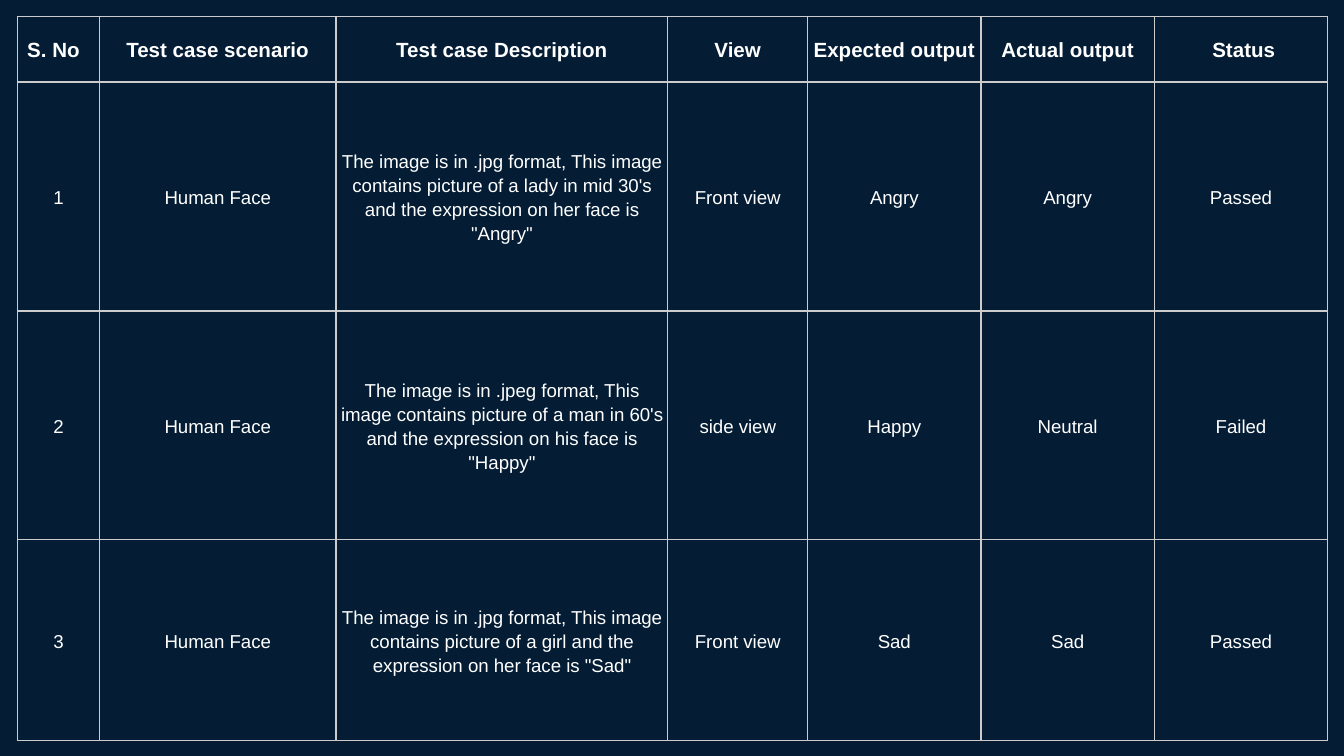
from dataclasses import dataclass

from lxml.etree import SubElement
from pptx import Presentation
from pptx.dml.color import RGBColor
from pptx.enum.text import MSO_ANCHOR as Anchor, PP_ALIGN as Align
from pptx.oxml.ns import qn
from pptx.util import Inches, Pt


@dataclass(frozen=True)
class Theme:
    """Colours, font and sizes of the slide."""
    background: str = "041D34"
    text: str = "FFFFFF"
    border: str = "CCCCCC"
    font: str = "Arial"
    header_size: float = 11
    body_size: float = 10
    border_width: float = 0.75
    line_spacing: float = 1.15
    cell_margin: float = 0.03


THEME = Theme()
COLUMN_WIDTHS = [0.61, 1.76, 2.47, 1.04, 1.29, 1.29, 1.29]
ROW_HEIGHTS = [0.49, 1.7, 1.7, 1.49]
HEADERS = [" S. No", "Test case scenario", "Test case Description", "View",
           "Expected output", "Actual output", " Status"]
TEST_CASES = [
    ["1", "Human Face",
     "The image is in .jpg format, This image contains picture of a lady "
     "in mid 30's and the expression on her face is \"Angry\"",
     "Front view", "Angry", "Angry", "Passed"],
    ["2", "Human Face",
     "The image is in .jpeg format, This image contains picture of a man "
     "in 60's and the expression on his face is \"Happy\"",
     "side view", "Happy", "Neutral", "Failed"],
    ["3", "Human Face",
     "The image is in .jpg format, This image contains picture of a girl "
     "and the expression on her face is \"Sad\"",
     "Front view", "Sad", "Sad", "Passed"],
]


def draw_borders(cell):
    """Outline all four sides of a cell."""
    properties = cell._tc.get_or_add_tcPr()
    for side in ("a:lnL", "a:lnR", "a:lnT", "a:lnB"):
        line = SubElement(properties, qn(side), w=str(Pt(THEME.border_width)))
        fill = SubElement(line, qn("a:solidFill"))
        SubElement(fill, qn("a:srgbClr"), val=THEME.border)


def fill_cell(cell, text, size, bold, align):
    """Style one cell and write its text."""
    draw_borders(cell)
    cell.fill.background()
    cell.vertical_anchor = Anchor.MIDDLE
    margin = Inches(THEME.cell_margin)
    cell.margin_left = cell.margin_right = margin
    cell.margin_top = cell.margin_bottom = margin
    para = cell.text_frame.paragraphs[0]
    para.alignment = align
    para.line_spacing = THEME.line_spacing
    span = para.add_run()
    span.text = text
    span.font.name = THEME.font
    span.font.size = Pt(size)
    span.font.bold = bold
    span.font.color.rgb = RGBColor.from_string(THEME.text)


def add_test_table(page, left, top, width, height):
    """Place the table of test cases in the given box."""
    rows = [HEADERS, *TEST_CASES]
    table = page.shapes.add_table(
        len(rows), len(HEADERS), Inches(left), Inches(top),
        Inches(width), Inches(height)).table
    table.first_row = table.horz_banding = False
    for column, share in zip(table.columns, COLUMN_WIDTHS):
        column.width = Inches(width * share / sum(COLUMN_WIDTHS))
    for row, share in zip(table.rows, ROW_HEIGHTS):
        row.height = Inches(height * share / sum(ROW_HEIGHTS))
    for row_index, texts in enumerate(rows):
        is_header = row_index == 0
        size = THEME.header_size if is_header else THEME.body_size
        for column_index, text in enumerate(texts):
            is_corner = is_header and column_index == 0
            align = Align.LEFT if is_corner else Align.CENTER
            fill_cell(table.cell(row_index, column_index), text, size,
                      is_header, align)


def main():
    """Build and save the deck."""
    deck = Presentation()
    deck.slide_width = Inches(10)
    deck.slide_height = deck.slide_width * 9 // 16
    page = deck.slides.add_slide(deck.slide_layouts[6])
    page.background.fill.solid()
    page.background.fill.fore_color.rgb = RGBColor.from_string(THEME.background)
    add_test_table(page, 0.13, 0.12, 9.75, 5.39)
    deck.save("out.pptx")


if __name__ == "__main__":
    main()
